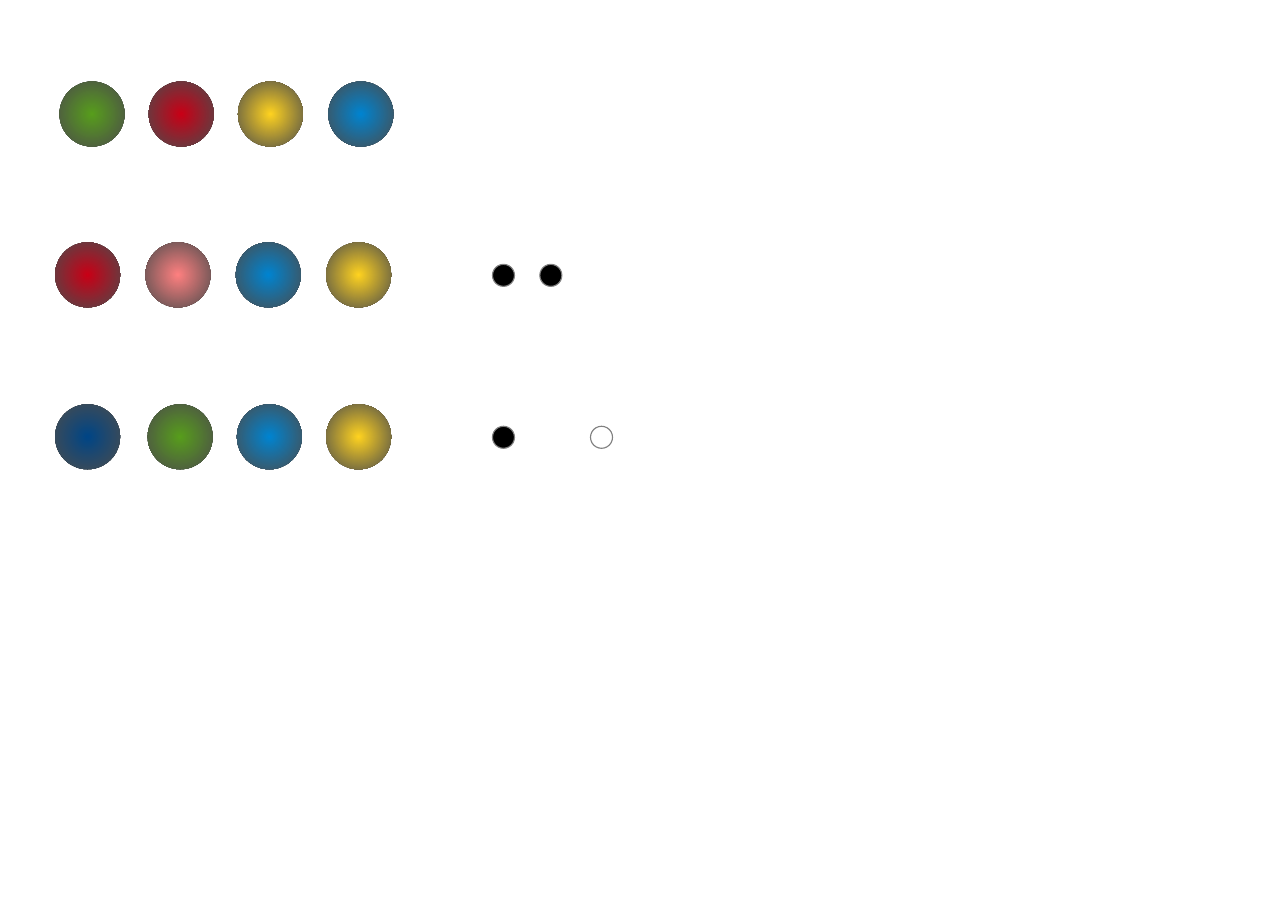
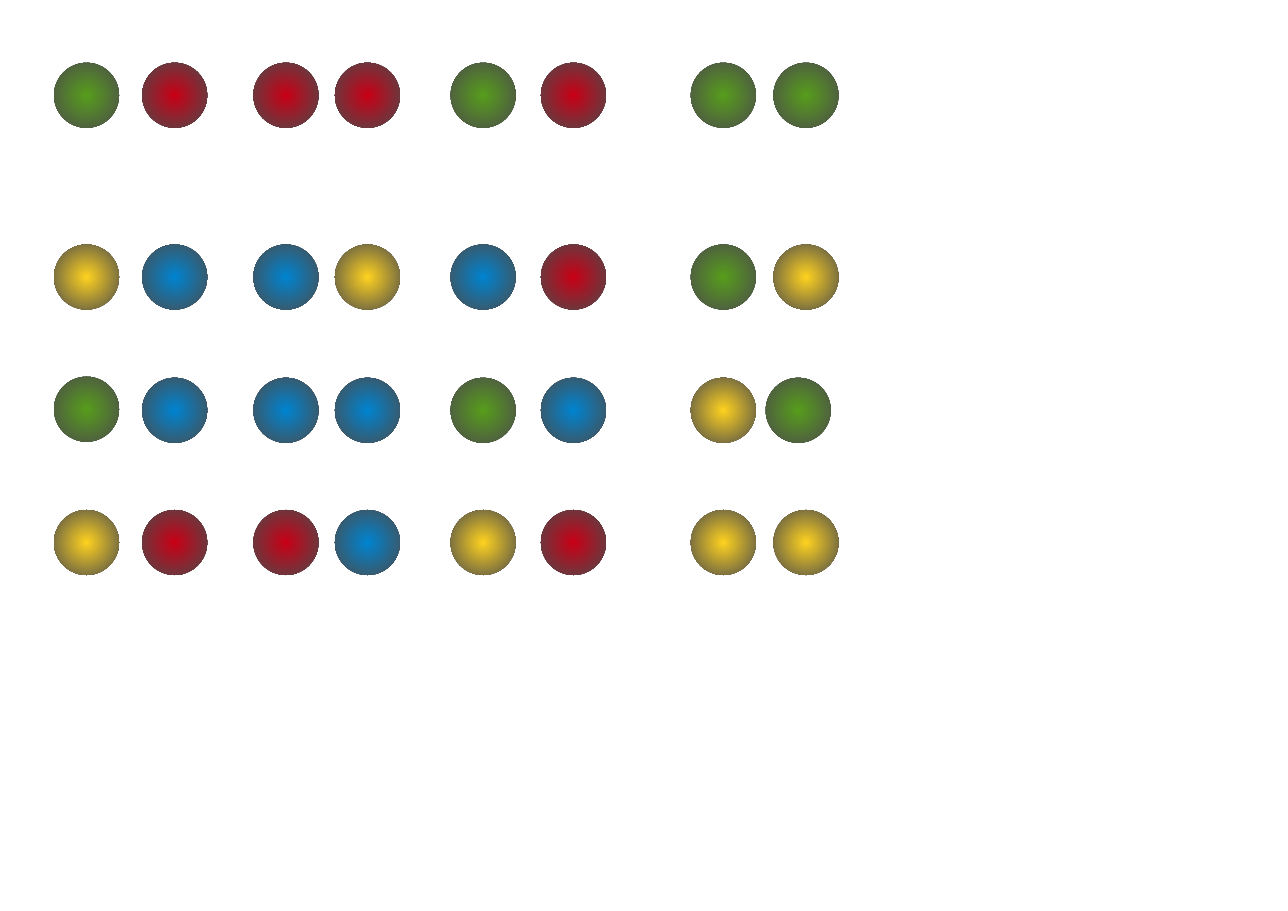
from lxml import etree
from pptx import Presentation
from pptx import util as u
from pptx.dml.color import RGBColor
from pptx.enum import shapes
from pptx.oxml.ns import qn

PX = 9144
BALL = 59
PIN = 20
HUES = {
    "green": "579D1C",
    "red": "C90016",
    "gold": "FFD320",
    "blue": "0084D1",
    "pink": "FF8080",
    "navy": "004586",
    "edge": "4C4C4C",
    "black": "000000",
    "white": "FFFFFF",
    "rim": "808080",
}
KEYS = {"G": "green", "R": "red", "Y": "gold", "B": "blue", "P": "pink", "N": "navy"}

GUESSES = [
    ("GRYB", [0, 81, 162, 244], 4, []),
    ("RPBY", [0, 82, 164, 246], 0, [("black", 0), ("black", 43)]),
    ("NGBY", [0, 84, 165, 246], 0, [("black", 0), ("white", 89)]),
]
ROWS = [0, 165, 286, 406]
COLS = [0, 80, 181, 255, 360, 442, 578, 653]
GRID = ["GRRRGRGG", "YBBYBRGY", "GBBBGBYG", "YRRBYRYY"]
SHIFTS = {(2, 0): (0, -1), (2, 7): (-7, 0)}


def px(n):
    return u.Emu(n * PX)


def hue(name):
    return RGBColor.from_string(HUES[name])


def disc(host, left, top, size):
    shape = host.add_shape(shapes.MSO_SHAPE.OVAL, px(left), px(top), px(size), px(size))
    shape.shadow.inherit = False
    return shape


def ball(host, left, top, key):
    shape = disc(host, left, top, BALL)
    shape.line.fill.background()
    shape.fill.gradient()
    for stop, name in zip(shape.fill.gradient_stops, (KEYS[key], "edge")):
        stop.color.rgb = hue(name)
    grad = shape.element.spPr.find(qn("a:gradFill"))
    glow = etree.Element(qn("a:path"), {"path": "circle"})
    sides = dict.fromkeys("ltrb", "50000")
    etree.SubElement(glow, qn("a:fillToRect"), sides)
    grad.replace(grad.find(qn("a:lin")), glow)


def pin(host, left, top, name):
    shape = disc(host, left, top, PIN)
    shape.fill.solid()
    shape.fill.fore_color.rgb = hue(name)
    shape.line.color.rgb = hue("rim")
    shape.line.width = 0


def guess(slide, left, top, keys, steps, inset, pins):
    row = slide.shapes.add_group_shape().shapes
    for key, step in zip(keys, steps):
        ball(row, left + inset + step, top, key)
    if pins:
        marks = slide.shapes.add_group_shape().shapes
        for name, step in pins:
            pin(marks, left + 397 + step, top + 20, name)


def board(slide, left, top):
    for i, item in enumerate(GUESSES):
        guess(slide, left, top + i * 293 // 2, *item)


def pairs(slide, left, top):
    for i, keys in enumerate(GRID):
        for j, key in enumerate(keys):
            dx, dy = SHIFTS.get((i, j), (0, 0))
            ball(slide.shapes, left + COLS[j] + dx, top + ROWS[i] + dy, key)


def main():
    deck = Presentation()
    deck.slide_width, deck.slide_height = px(1169), px(827)
    for draw, left, top in ((board, 50, 74), (pairs, 49, 57)):
        draw(deck.slides.add_slide(deck.slide_layouts[6]), left, top)
    deck.save("out.pptx")


if __name__ == "__main__":
    main()
